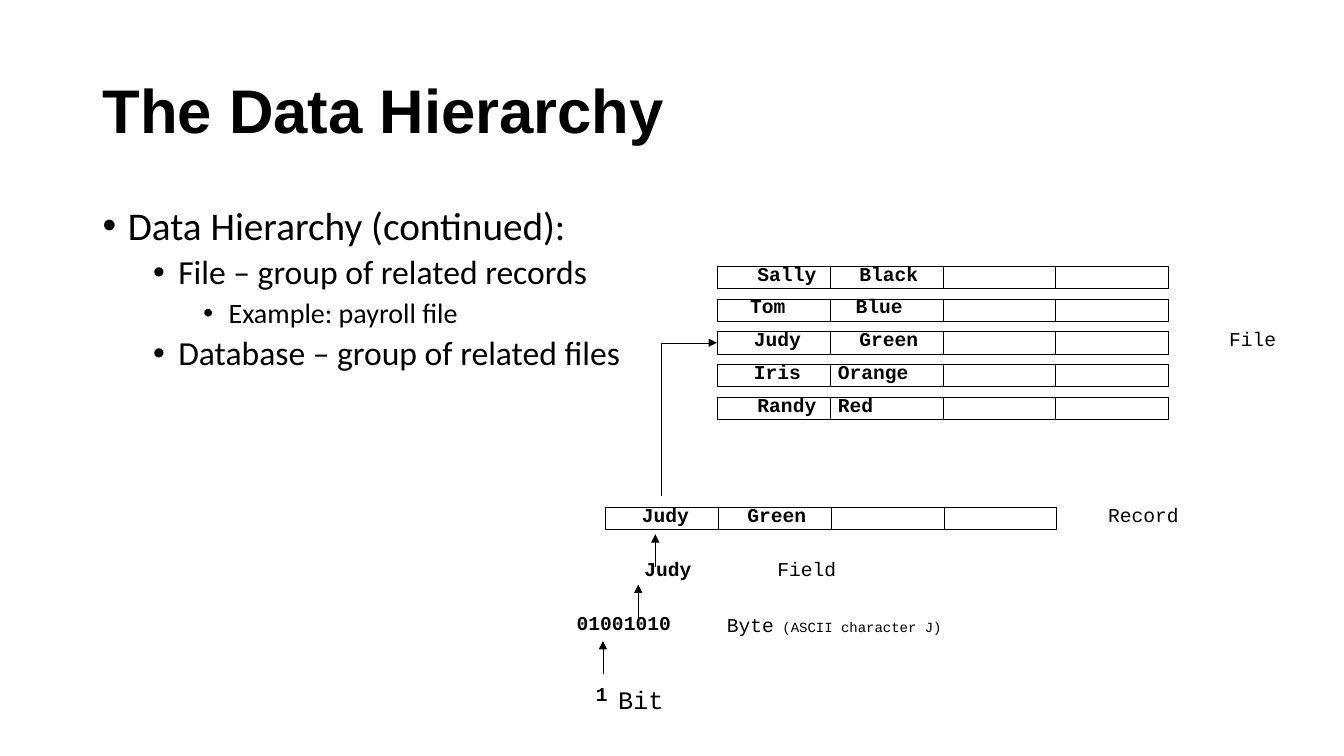
from dataclasses import dataclass

from lxml import etree
from pptx import Presentation
from pptx import util as u
from pptx.dml.color import RGBColor
from pptx.enum import shapes, text
from pptx.oxml.ns import qn

BLACK = RGBColor(0, 0, 0)
WHITE = RGBColor(255, 255, 255)
MONO = "Courier New"
LEFT, CENTER = text.PP_ALIGN.LEFT, text.PP_ALIGN.CENTER

CELL_WIDTH, CELL_HEIGHT, CELL_COUNT = 1.12, 0.22, 4
NAME_INDENTS = (0.19, 0.08)
FILE_LEFT, FILE_TOP, FILE_BOTTOM = 7.11, 2.64, 3.94
LINE_WIDTH = u.Pt(0.25)


@dataclass
class Bullet:
    words: str
    level: int
    size: int
    space_before: int = 5


@dataclass
class Label:
    words: str
    left: float
    top: float
    width: float
    bold: bool = False
    size: int = 14
    align: text.PP_ALIGN = LEFT
    note: str = ""


@dataclass
class Record:
    first: str
    last: str
    left: float
    top: float
    last_align: text.PP_ALIGN = CENTER


BULLETS = [
    Bullet("Data Hierarchy (continued):", 0, 28, 10),
    Bullet("File – group of related records", 1, 24),
    Bullet("Example: payroll file", 2, 20),
    Bullet("Database – group of related files", 1, 24),
]
PEOPLE = [
    ("Sally", "Black", CENTER),
    ("Tom", "Blue", CENTER),
    ("Judy", "Green", CENTER),
    ("Iris", "Orange", LEFT),
    ("Randy", "Red", LEFT),
]
ROW_STEP = (FILE_BOTTOM - FILE_TOP) / (len(PEOPLE) - 1)
RECORDS = [
    Record(first, last, FILE_LEFT, FILE_TOP + row * ROW_STEP, align)
    for row, (first, last, align) in enumerate(PEOPLE)
] + [Record("Judy", "Green", 6, 5.03)]
LABELS = [
    Label("1", 5.91, 6.81, 0.25, bold=True),
    Label("01001010", 5.72, 6.11, 1.56, bold=True),
    Label("Judy", 5.94, 5.57, 1.37, bold=True, align=CENTER),
    Label("File", 12.02, 3.29, 0.81, align=CENTER),
    Label("Record", 10.99, 5.03, 1.18),
    Label("Field", 7.71, 5.57, 1),
    Label("Byte", 7.21, 6.13, 4.54, note=" (ASCII character J)"),
    Label("Bit", 6.13, 6.85, 0.63, size=18),
]
ARROW_LENGTH = 0.33
ARROW_TIPS = [(5.98, 6.36), (6.33, 5.8), (6.5, 5.3)]
ELBOW_POINTS = [(7.11, 3.4), (6.56, 3.4), (6.56, 4.92)]


def format_run(run, font_name: str, size: int, bold: bool = False) -> None:
    run.font.name = font_name
    run.font.size = u.Pt(size)
    run.font.bold = bold
    run.font.color.rgb = BLACK


def add_text_frame(slide, left: float, top: float, width: float, height: float):
    box = slide.shapes.add_textbox(
        u.Inches(left), u.Inches(top), u.Inches(width), u.Inches(height)
    )
    box.text_frame.word_wrap = True
    return box.text_frame


def add_title(slide) -> None:
    frame = add_text_frame(slide, 0.92, 0.4, 11.5, 1.45)
    frame.vertical_anchor = text.MSO_ANCHOR.MIDDLE
    frame.text = "The Data Hierarchy"
    frame.paragraphs[0].line_spacing = 0.9
    format_run(frame.paragraphs[0].runs[0], "Arial", 44, True)


def add_bullets(slide, bullets: list[Bullet]) -> None:
    frame = add_text_frame(slide, 0.92, 2, 11.5, 4.76)
    frame.text = "\n".join(bullet.words for bullet in bullets)
    for bullet, paragraph in zip(bullets, frame.paragraphs):
        paragraph.level = bullet.level
        paragraph.line_spacing = 0.9
        paragraph.space_before = u.Pt(bullet.space_before)
        format_run(paragraph.runs[0], "Calibri", bullet.size)
        properties = paragraph._p.get_or_add_pPr()
        properties.set("marL", str(u.Inches(0.25 + 0.5 * bullet.level)))
        properties.set("indent", str(u.Inches(-0.25)))
        etree.SubElement(properties, qn("a:buFont"), typeface="Arial")
        etree.SubElement(properties, qn("a:buChar"), char="•")


def add_label(slide, label: Label) -> None:
    frame = add_text_frame(slide, label.left, label.top, label.width, 0.25)
    frame.margin_left = frame.margin_right = 0
    frame.margin_top = frame.margin_bottom = 0
    frame.text = label.words
    paragraph = frame.paragraphs[0]
    paragraph.alignment = label.align
    paragraph.line_spacing = 0.8
    format_run(paragraph.runs[0], MONO, label.size, label.bold)
    if label.note:
        note_run = paragraph.add_run()
        note_run.text = label.note
        format_run(note_run, MONO, 10)


def style_line(shape) -> None:
    shape.line.color.rgb = BLACK
    shape.line.width = LINE_WIDTH


def add_arrowhead(shape) -> None:
    line = shape.element.spPr.find(qn("a:ln"))
    etree.SubElement(line, qn("a:headEnd"), type="triangle")


def add_record(slide, record: Record) -> None:
    for column in range(CELL_COUNT):
        cell = slide.shapes.add_shape(
            shapes.MSO_SHAPE.RECTANGLE,
            u.Inches(record.left + column * CELL_WIDTH), u.Inches(record.top),
            u.Inches(CELL_WIDTH), u.Inches(CELL_HEIGHT),
        )
        cell.shadow.inherit = False
        cell.fill.background()
        style_line(cell)
    names = [(record.first, CENTER), (record.last, record.last_align)]
    for column, (name, align) in enumerate(names):
        left = record.left + column * CELL_WIDTH + NAME_INDENTS[column]
        width = 0.06 + 0.19 * len(name)
        add_label(slide, Label(name, left, record.top, width, True, align=align))


def add_up_arrow(slide, x: float, top: float) -> None:
    arrow = slide.shapes.add_connector(
        shapes.MSO_CONNECTOR.STRAIGHT,
        u.Inches(x), u.Inches(top), u.Inches(x), u.Inches(top + ARROW_LENGTH),
    )
    style_line(arrow)
    add_arrowhead(arrow)
    etree.SubElement(arrow.element.spPr, qn("a:effectLst"))


def add_elbow_arrow(slide, points: list[tuple[float, float]]) -> None:
    start, *corners = [(u.Inches(x), u.Inches(y)) for x, y in points]
    builder = slide.shapes.build_freeform(*start)
    builder.add_line_segments(corners, close=False)
    elbow = builder.convert_to_shape()
    elbow.shadow.inherit = False
    elbow.fill.background()
    style_line(elbow)
    add_arrowhead(elbow)


def main() -> None:
    presentation = Presentation()
    presentation.slide_width = u.Inches(13.33)
    presentation.slide_height = u.Inches(7.5)
    slide = presentation.slides.add_slide(presentation.slide_layouts[6])
    slide.background.fill.solid()
    slide.background.fill.fore_color.rgb = WHITE

    # Title and bullets
    add_title(slide)
    add_bullets(slide, BULLETS)

    # Hierarchy diagram: records, arrows, labels
    for record in RECORDS:
        add_record(slide, record)
    for x, top in ARROW_TIPS:
        add_up_arrow(slide, x, top)
    add_elbow_arrow(slide, ELBOW_POINTS)
    for label in LABELS:
        add_label(slide, label)

    presentation.save("out.pptx")


if __name__ == "__main__":
    main()
